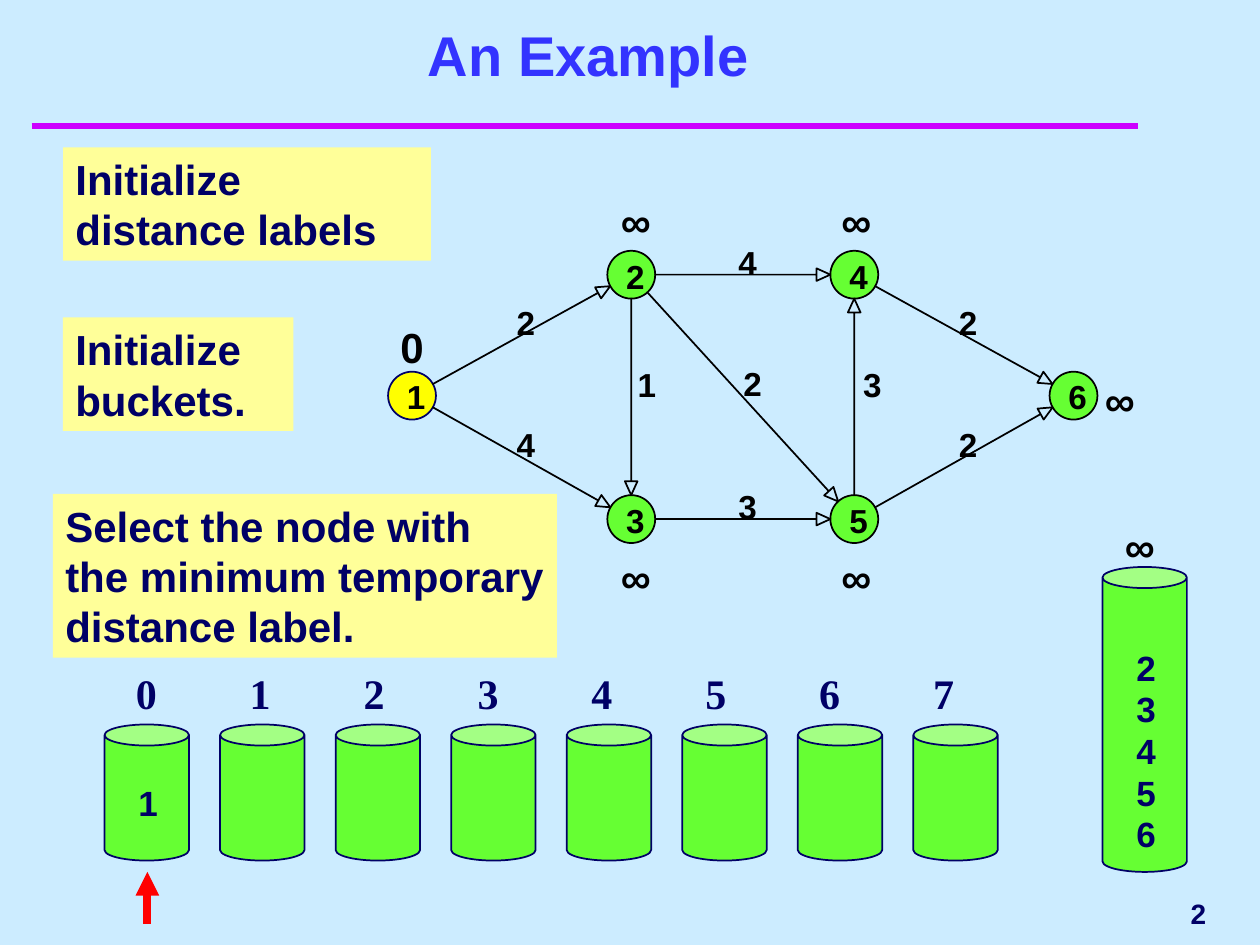
import math

import pptx
import pptx.dml.color
import pptx.enum.shapes
import pptx.enum.text
import pptx.oxml
import pptx.util

Inches = pptx.util.Inches
RGBColor = pptx.dml.color.RGBColor
MSO_SHAPE = pptx.enum.shapes.MSO_SHAPE
MSO_ANCHOR = pptx.enum.text.MSO_ANCHOR
PP_ALIGN = pptx.enum.text.PP_ALIGN

SKY = RGBColor(0xCC, 0xEC, 0xFF)
BLUE = RGBColor(0x33, 0x33, 0xFF)
MAGENTA = RGBColor(0xCC, 0x00, 0xFF)
NAVY = RGBColor(0x00, 0x00, 0x66)
BLACK = RGBColor(0x00, 0x00, 0x00)
GREEN = RGBColor(0x66, 0xFF, 0x33)
YELLOW = RGBColor(0xFF, 0xFF, 0x00)
CREAM = RGBColor(0xFF, 0xFF, 0x99)
RED = RGBColor(0xFF, 0x00, 0x00)

NODE_RADIUS = 0.19
HEAD_LENGTH = 0.11
HEAD_HALF_WIDTH = 0.05

# Node centres
NODES = {
    "1": (3.27, 3.14),
    "2": (5.01, 2.18),
    "3": (5.01, 4.12),
    "4": (6.78, 2.18),
    "5": (6.78, 4.12),
    "6": (8.52, 3.14),
}
# Tail node, head node, length, left and top of the length
EDGES = [
    ("1", "2", "2", 4.1, 2.4),
    ("2", "4", "4", 5.86, 1.92),
    ("2", "5", "2", 5.9, 2.88),
    ("2", "3", "1", 5.06, 2.89),
    ("3", "5", "3", 5.86, 3.86),
    ("1", "3", "4", 4.1, 3.37),
    ("4", "6", "2", 7.61, 2.4),
    ("5", "4", "3", 6.85, 2.89),
    ("5", "6", "2", 7.61, 3.37),
]
# Distance label, left and top
DISTANCES = [
    ("0", 3.08, 2.5),
    ("∞", 4.83, 1.5),
    ("∞", 4.83, 4.33),
    ("∞", 6.58, 1.5),
    ("∞", 6.58, 4.33),
    ("∞", 8.67, 2.92),
    ("∞", 8.83, 4.08),
]
STEPS = [
    ("Initialize distance labels", 0.5, 1.17, 2.92, 0.9),
    ("Initialize buckets.", 0.5, 2.52, 1.83, 0.9),
    ("Select the node with the minimum temporary distance label.", 0.42, 3.92, 4, 1.3),
]


def write(shape, text, size, color, align=PP_ALIGN.LEFT, anchor=MSO_ANCHOR.TOP,
          font_name="Arial", inset=True):
    frame = shape.text_frame
    frame.auto_size = pptx.enum.text.MSO_AUTO_SIZE.NONE
    frame.word_wrap = inset
    frame.vertical_anchor = anchor
    frame.margin_left = frame.margin_right = Inches(0.1 if inset else 0)
    frame.margin_top = frame.margin_bottom = Inches(0.05 if inset else 0)
    paragraph = frame.paragraphs[0]
    paragraph.alignment = align
    run = paragraph.add_run()
    run.text = text
    run.font.size = pptx.util.Pt(size)
    run.font.name = font_name
    run.font.bold = True
    run.font.color.rgb = color


def add_text(slide, text, left, top, width, height, size, color, **options):
    box = slide.shapes.add_textbox(
        Inches(left), Inches(top), Inches(width), Inches(height))
    write(box, text, size, color, **options)


def add_graph_label(slide, text, left, top):
    add_text(slide, text, left, top, 0.15, 0.32, 19, BLACK, inset=False)


def add_figure(slide, kind, left, top, width, height, fill, line=None):
    shape = slide.shapes.add_shape(
        kind, Inches(left), Inches(top), Inches(width), Inches(height))
    shape.shadow.inherit = False
    shape.fill.solid()
    shape.fill.fore_color.rgb = fill
    if line is None:
        shape.line.fill.background()
    else:
        shape.line.color.rgb = line
        shape.line.width = pptx.util.Pt(1)
    return shape


def add_line(slide, x1, y1, x2, y2, color, width, arrow=False):
    connector = slide.shapes.add_connector(
        pptx.enum.shapes.MSO_CONNECTOR.STRAIGHT,
        Inches(x1), Inches(y1), Inches(x2), Inches(y2))
    connector.line.color.rgb = color
    connector.line.width = pptx.util.Pt(width)
    namespace = 'xmlns:a="http://schemas.openxmlformats.org/drawingml/2006/main"'
    if arrow:
        connector.line._get_or_add_ln().append(
            pptx.oxml.parse_xml(f'<a:tailEnd {namespace} type="triangle"/>'))
    connector._element.spPr.append(pptx.oxml.parse_xml(f"<a:effectLst {namespace}/>"))


def add_edge(slide, tail, head):
    """Draw an edge with a hollow arrowhead between two node rims."""
    (x1, y1), (x2, y2) = NODES[tail], NODES[head]
    length = math.hypot(x2 - x1, y2 - y1)
    ux, uy = (x2 - x1) / length, (y2 - y1) / length

    def point(along, across=0):
        return (Inches(x1 + along * ux - across * uy),
                Inches(y1 + along * uy + across * ux))

    tip = length - NODE_RADIUS
    base = tip - HEAD_LENGTH
    builder = slide.shapes.build_freeform(*point(NODE_RADIUS))
    builder.add_line_segments([
        point(base), point(base, HEAD_HALF_WIDTH), point(tip),
        point(base, -HEAD_HALF_WIDTH), point(base)], close=True)
    edge = builder.convert_to_shape()
    edge.shadow.inherit = False
    edge.fill.background()
    edge.line.color.rgb = BLACK
    edge.line.width = pptx.util.Pt(1)


def add_graph(slide):
    for name, (x, y) in NODES.items():
        fill, line = (YELLOW, NAVY) if name == "1" else (GREEN, BLACK)
        add_figure(slide, MSO_SHAPE.OVAL, x - NODE_RADIUS, y - NODE_RADIUS,
                   2 * NODE_RADIUS, 2 * NODE_RADIUS, fill, line)
        add_graph_label(slide, name, x - 0.04, y - 0.15)
    for tail, head, length, left, top in EDGES:
        add_edge(slide, tail, head)
        add_graph_label(slide, length, left, top)
    for text, left, top in DISTANCES:
        add_text(slide, text, left, top, 0.42, 0.5, 24, BLACK)


def add_buckets(slide):
    for index in range(8):
        add_figure(slide, MSO_SHAPE.CAN, 0.83 + index * 0.917, 5.75, 0.67, 1.08,
                   GREEN, NAVY)
        add_text(slide, str(index), 0.98 + index * 0.904, 5.25, 0.5, 0.5, 24, NAVY,
                 font_name="Times New Roman")
    add_text(slide, "1", 1, 6.15, 0.33, 0.44, 20, NAVY)

    # Bucket of nodes with an infinite label
    add_figure(slide, MSO_SHAPE.CAN, 8.75, 4.5, 0.67, 2.42, GREEN, NAVY)
    for index, name in enumerate("23456"):
        add_text(slide, name, 8.92, 5.08 + index * 0.33, 0.33, 0.44, 20, NAVY)


def main():
    presentation = pptx.Presentation()
    presentation.slide_width, presentation.slide_height = Inches(10), Inches(7.5)
    slide = presentation.slides.add_slide(presentation.slide_layouts[5])
    slide.background.fill.solid()
    slide.background.fill.fore_color.rgb = SKY

    # Title and rule
    title = slide.shapes.title
    title.left, title.top = Inches(0.42), Inches(0.33)
    title.width, title.height = Inches(8.5), Inches(0.42)
    write(title, "An Example", 32, BLUE, PP_ALIGN.CENTER, MSO_ANCHOR.BOTTOM)
    add_line(slide, 0.25, 1, 9.03, 1, MAGENTA, 4)

    add_graph(slide)

    # Algorithm steps
    for text, left, top, width, height in STEPS:
        box = add_figure(slide, MSO_SHAPE.RECTANGLE, left, top, width, height, CREAM)
        write(box, text, 24, NAVY)

    add_buckets(slide)

    # Pointer to the current bucket
    add_line(slide, 1.17, 7.33, 1.17, 6.92, RED, 4.5, arrow=True)

    # Slide number
    add_text(slide, "2", 7.75, 7, 1.92, 0.5, 16, NAVY,
             align=PP_ALIGN.RIGHT, anchor=MSO_ANCHOR.MIDDLE)
    presentation.save("out.pptx")


if __name__ == "__main__":
    main()
